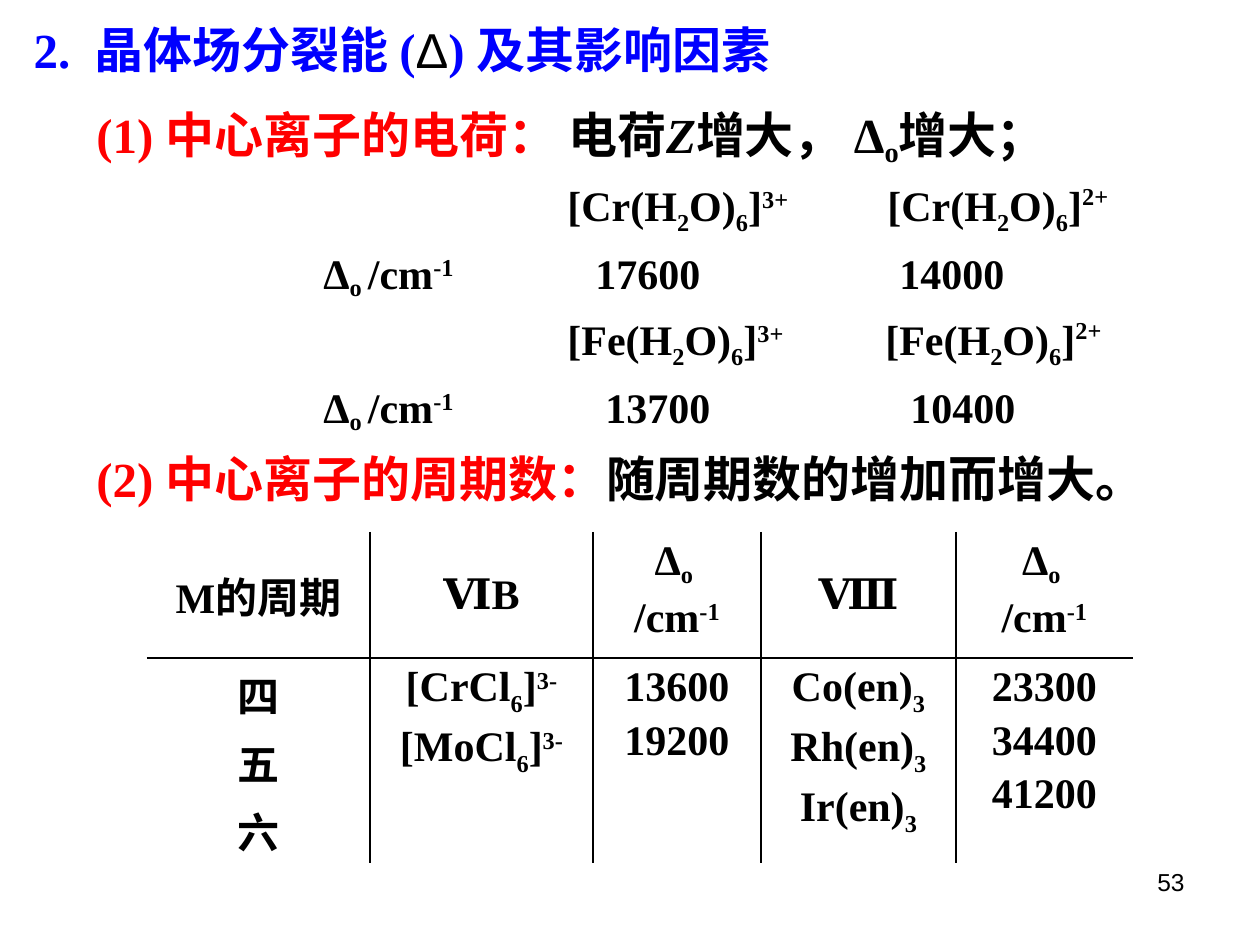
"""Build the slide on crystal field splitting energy and what affects it."""
from dataclasses import dataclass
from typing import Optional

from lxml import etree
from pptx import Presentation
from pptx.dml.color import RGBColor
from pptx.enum.text import MSO_ANCHOR, PP_ALIGN
from pptx.oxml.ns import qn
from pptx.util import Emu, Pt

PX = 914400 / 126
LEFT, CENTER, RIGHT = PP_ALIGN.LEFT, PP_ALIGN.CENTER, PP_ALIGN.RIGHT
TOP, MIDDLE = MSO_ANCHOR.TOP, MSO_ANCHOR.MIDDLE
SUB, LOW, SUP, HIGH = -25, -18, 30, 38


@dataclass(frozen=True)
class Theme:
    serif: str = "Times New Roman"
    sans: str = "Arial"
    black: str = "000000"
    blue: str = "0000FF"
    red: str = "FF0000"
    heading: int = 28
    body: int = 24
    number: int = 14
    row_gap: int = 4


T = Theme()


@dataclass(frozen=True)
class Run:
    text: str
    base: int = 0
    color: Optional[str] = None
    italic: bool = False
    sans: bool = False


@dataclass(frozen=True)
class Line:
    runs: list[Run]
    size: int = T.body
    color: str = T.black
    font: str = T.serif
    bold: bool = True
    align: PP_ALIGN = LEFT
    spacing: float = 1.0
    before: int = 0
    tabs: tuple[int, ...] = ()


@dataclass(frozen=True)
class Cell:
    lines: list[list[Run]]
    anchor: MSO_ANCHOR = TOP


def px(n: int) -> Emu:
    """Turn pixels into EMU."""
    return Emu(round(n * PX))


def complex_ion(metal: str, charge: str, base: int) -> list[Run]:
    """Return the runs of a hexaaqua ion."""
    return [Run(f"\t[{metal}(H"), Run("2", SUB), Run("O)"), Run("6", SUB),
            Run("]"), Run(charge, base)]


def ion_pair(metal: str, second: int) -> Line:
    """Return the line that sets a 3+ ion beside its 2+ ion."""
    runs = complex_ion(metal, "3+", SUP) + complex_ion(metal, "2+", HIGH)
    return Line(runs, spacing=1.2, tabs=(471, second))


def splitting(first: str, second: str, tabs: tuple[int, ...]) -> Line:
    """Return the line with the splitting energies of an ion pair."""
    runs = [Run("\tΔ"), Run("o ", LOW), Run("/cm"), Run("-1", SUP),
            Run(f"\t{first}\t{second}")]
    return Line(runs, spacing=1.2, tabs=(227, *tabs))


def write(tf, lines: list[Line]) -> None:
    """Write lines into a text frame."""
    for i, line in enumerate(lines):
        p = tf.add_paragraph() if i else tf.paragraphs[0]
        if line.tabs:
            tab_list = etree.SubElement(p._p.get_or_add_pPr(), qn("a:tabLst"))
            for stop in line.tabs:
                etree.SubElement(tab_list, qn("a:tab"), pos=str(px(stop)), algn="l")
        p.alignment, p.line_spacing = line.align, line.spacing
        p.space_before = Pt(line.before)
        p.font.name, p.font.size, p.font.bold = line.font, Pt(line.size), line.bold
        p.font.color.rgb = RGBColor.from_string(line.color)
        for run in line.runs:
            r = p.add_run()
            r.text = run.text
            if run.base:
                r.font._element.set("baseline", str(run.base * 1000))
            if run.color:
                r.font.color.rgb = RGBColor.from_string(run.color)
            if run.italic:
                r.font.italic = True
            if run.sans:
                r.font.name, r.font.bold = T.sans, False


def add_text(s, x: int, y: int, w: int, h: int, lines: list[Line]) -> None:
    """Add a wrapped text box."""
    tf = s.shapes.add_textbox(px(x), px(y), px(w), px(h)).text_frame
    tf.word_wrap = True
    write(tf, lines)


def set_borders(cell, ruled: dict[str, bool]) -> None:
    """Rule the named sides of a cell and clear the others."""
    tc_pr = cell._tc.get_or_add_tcPr()
    for i, (side, shown) in enumerate(ruled.items()):
        ln = etree.Element(qn(f"a:ln{side}"), w=str(Pt(1)))
        tc_pr.insert(i, ln)
        if shown:
            fill = etree.SubElement(ln, qn("a:solidFill"))
            etree.SubElement(fill, qn("a:srgbClr"), val=T.black)
        else:
            etree.SubElement(ln, qn("a:noFill"))


def add_grid(s, x: int, y: int, widths: list[int], heights: list[int],
             rows: list[list[Cell]]) -> None:
    """Add a table ruled only between its cells."""
    table = s.shapes.add_table(len(rows), len(widths), px(x), px(y),
                               px(sum(widths)), px(sum(heights))).table
    table.first_row = table.horz_banding = False
    for column, width in zip(table.columns, widths):
        column.width = px(width)
    for i, (row, height) in enumerate(zip(rows, heights)):
        table.rows[i].height = px(height)
        for j, content in enumerate(row):
            cell = table.cell(i, j)
            cell.fill.background()
            cell.vertical_anchor = content.anchor
            set_borders(cell, {"L": j > 0, "R": j < len(widths) - 1,
                               "T": i > 0, "B": i < len(rows) - 1})
            write(cell.text_frame, [Line(runs, align=CENTER, before=T.row_gap)
                                    for runs in content.lines])


def column_of(*texts: str) -> Cell:
    """Return a cell with one plain text a line."""
    return Cell([[Run(text)] for text in texts])


def main() -> None:
    """Build and save the slide."""
    prs = Presentation()
    prs.slide_width, prs.slide_height = px(1260), px(945)
    s = prs.slides.add_slide(prs.slide_layouts[5])

    title = s.shapes.title
    title.left, title.top, title.width, title.height = px(21), px(13), px(903), px(92)
    title.text_frame.vertical_anchor = TOP
    write(title.text_frame, [Line(
        [Run("2.  晶体场分裂能 ("), Run("Δ", color=T.black, sans=True),
         Run(") 及其影响因素")], T.heading, T.blue)])

    add_text(s, 84, 98, 1050, 316, [
        Line([Run("(1) 中心离子的电荷： ", color=T.red), Run("电荷"),
              Run("Z", italic=True), Run("增大， Δ"), Run("o", LOW), Run("增大；")],
             T.heading),
        ion_pair("Cr", 791),
        splitting("17600", "14000", (499, 803)),
        ion_pair("Fe", 789),
        splitting("13700", "10400", (509, 814))])
    add_text(s, 84, 431, 1113, 84, [
        Line([Run("(2) 中心离子的周期数：", color=T.red),
              Run("随周期数的增加而增大。")], T.heading, spacing=1.2)])

    energy = Cell([[Run("Δ"), Run("o ", LOW)], [Run("/cm"), Run("-1", SUP)]])
    header = [Cell([[Run("M的周期")]], MIDDLE), Cell([[Run("ⅥB")]], MIDDLE), energy,
              Cell([[Run("Ⅷ")]], MIDDLE), energy]
    chlorides = Cell([[Run(f"[{metal}Cl"), Run("6", SUB), Run("]"), Run("3-", SUP)]
                      for metal in ("Cr", "Mo")])
    chelates = Cell([[Run(f"{metal}(en)"), Run("3", SUB)]
                     for metal in ("Co", "Rh", "Ir")])
    values = [column_of("四", "五", "六"), chlorides, column_of("13600", "19200"),
              chelates, column_of("23300", "34400", "41200")]
    add_grid(s, 147, 532, [223, 223, 168, 195, 177], [126, 205], [header, values])

    add_text(s, 903, 861, 294, 66, [
        Line([Run("53")], T.number, font=T.sans, bold=False, align=RIGHT)])
    prs.save("out.pptx")


if __name__ == "__main__":
    main()
